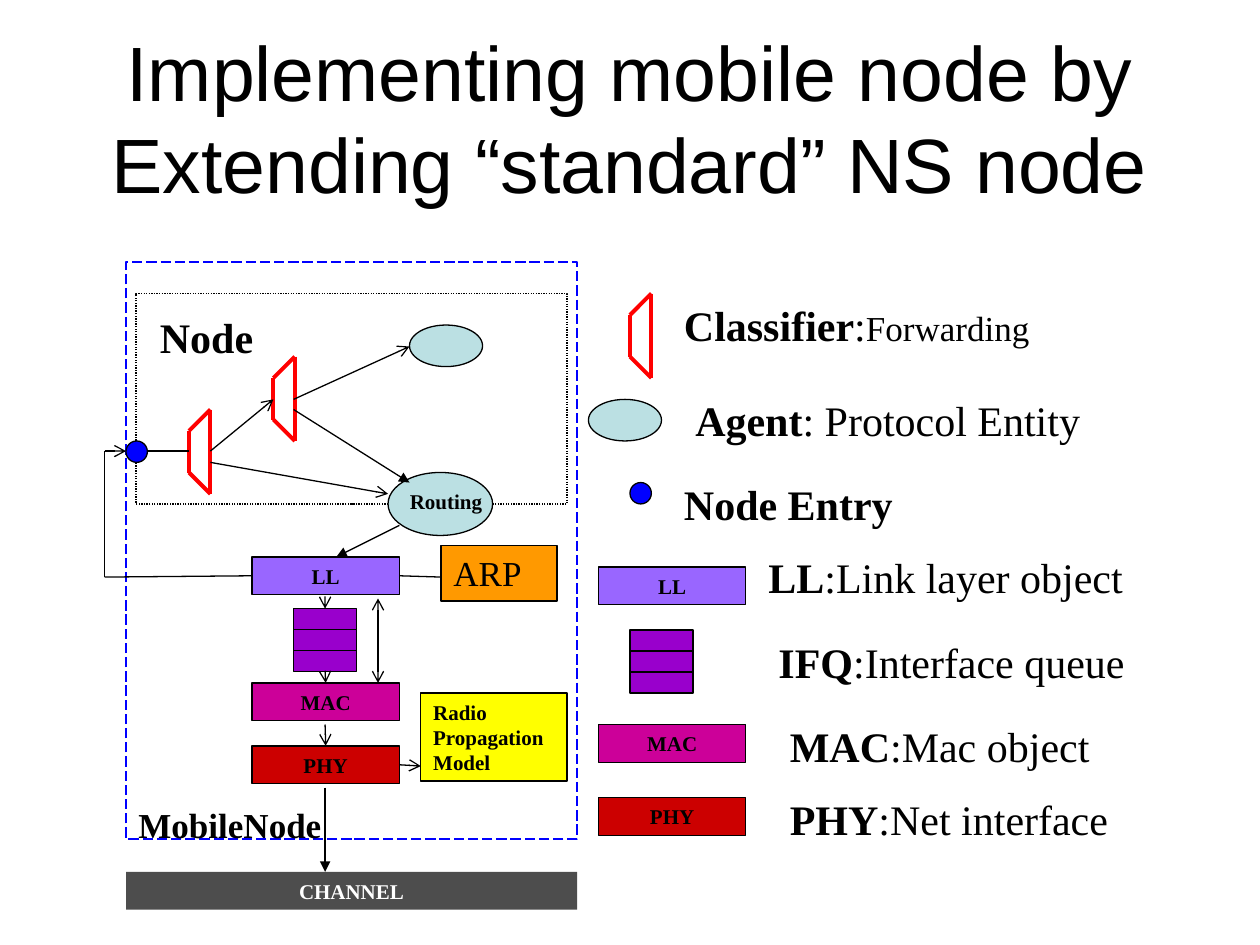
from lxml import etree
from pptx import Presentation
from pptx.dml.color import RGBColor
from pptx.enum.dml import MSO_LINE
from pptx.enum.shapes import MSO_CONNECTOR, MSO_SHAPE
from pptx.enum.text import MSO_ANCHOR, PP_ALIGN
from pptx.oxml.ns import qn
from pptx.util import Inches, Pt

RECT, OVAL = MSO_SHAPE.RECTANGLE, MSO_SHAPE.OVAL
STRAIGHT = MSO_CONNECTOR.STRAIGHT
LEFT, CENTER = PP_ALIGN.LEFT, PP_ALIGN.CENTER
TOP, MIDDLE = MSO_ANCHOR.TOP, MSO_ANCHOR.MIDDLE
DOTS, DASHES = MSO_LINE.ROUND_DOT, MSO_LINE.LONG_DASH
SIDE_TOP, SIDE_LEFT, SIDE_BOTTOM, SIDE_RIGHT = range(4)

COLORS = {
    "black": "000000", "white": "FFFFFF", "classifier": "FF0000",
    "agent": "BBE0E3", "entry": "0000FF", "ARP": "FF9900", "radio": "FFFF00",
    "LL": "9966FF", "MAC": "CC0099", "PHY": "CC0000", "queue": "9900CC",
    "channel": "4D4D4D",
}

# Content
TITLE = "Implementing mobile node by Extending “standard” NS node"
LEGEND = [  # left, top, width, term, meaning, meaning size
    (5.33, 2.33, 4, "Classifier:", "Forwarding", 20),
    (5.42, 3.08, 4, "Agent", ": Protocol Entity", 24),
    (5.33, 3.75, 4, "Node Entry", "", 24),
    (6, 4.33, 3.25, "LL", ":Link layer object", 24),
    (6.08, 5, 3.25, "IFQ", ":Interface queue", 24),
    (6.17, 5.67, 3.25, "MAC", ":Mac object", 24),
    (6.17, 6.25, 3.25, "PHY", ":Net interface", 24),
]
LAYERS = {"LL": (4.42, 4.5), "MAC": (5.42, 5.75), "PHY": (5.92, 6.33)}  # tops: node, legend
NODE_X, LEGEND_X = 2, 4.75
CLASSIFIERS = [(2.17, 2.83), (1.5, 3.25), (5, 2.33)]
AGENTS = [(3.25, 2.58, 0.58, 0.33), (4.67, 3.17, 0.58, 0.33), (3.08, 3.75, 0.83, 0.5)]
ENTRIES = [(1, 3.5), (5, 3.83)]
FREE_LINES = [  # from, to, arrowhead at the end
    ((1.67, 3.58), (2.17, 3.17), "arrow"),
    ((1.17, 3.58), (1.5, 3.58), None),
    ((2.33, 3.17), (3.25, 2.75), "arrow"),
    ((1.67, 3.67), (3.08, 3.92), "arrow"),
    ((2.33, 3.25), (3.25, 3.83), "triangle"),
    ((3.17, 4.17), (2.67, 4.42), "triangle"),
    ((0.83, 4.58), (0.83, 3.58), None),
    ((0.83, 3.58), (1, 3.58), "arrow"),
    ((2.58, 6.25), (2.58, 6.92), "triangle"),
]

prs = Presentation()
prs.slide_width, prs.slide_height = Inches(10), Inches(7.5)
s = prs.slides.add_slide(prs.slide_layouts[6])


def write(sp, *runs, size=12, bold=True, color="black", font="Times New Roman",
          align=LEFT, anchor=TOP, wrap=True):
    """Each run is a string or (string, bold, size)."""
    tf = sp.text_frame
    tf.word_wrap, tf.vertical_anchor = wrap, anchor
    p = tf.paragraphs[0]
    p.alignment = align
    for run in runs:
        text, run_bold, run_size = (run, bold, size) if isinstance(run, str) else run
        r = p.add_run()
        r.text = text
        r.font.name, r.font.size, r.font.bold = font, Pt(run_size), run_bold
        r.font.color.rgb = RGBColor.from_string(COLORS[color])


def label(x, y, w, h, *runs, **fmt):
    write(s.shapes.add_textbox(Inches(x), Inches(y), Inches(w), Inches(h)), *runs, **fmt)


def shape(kind, x, y, w, h, fill=None, line="black", dash=None):
    sp = s.shapes.add_shape(kind, Inches(x), Inches(y), Inches(w), Inches(h))
    sp.shadow.inherit = False
    if fill:
        sp.fill.solid()
        sp.fill.fore_color.rgb = RGBColor.from_string(COLORS[fill])
    else:
        sp.fill.background()
    if line:
        sp.line.color.rgb = RGBColor.from_string(COLORS[line])
        sp.line.width = Pt(0.75)
        if dash:
            sp.line.dash_style = dash
    else:
        sp.line.fill.background()
    return sp


def connect(start, end, head=None, tail=None, color="black", width=0.75, begin=None, finish=None):
    """begin and finish are (shape, side) pairs to join."""
    c = s.shapes.add_connector(STRAIGHT, *(Inches(v) for v in (*start, *end)))
    c.line.color.rgb = RGBColor.from_string(COLORS[color])
    c.line.width = Pt(width)
    sp_pr = c._element.spPr
    for tag, style in (("a:headEnd", head), ("a:tailEnd", tail)):
        if style:
            etree.SubElement(sp_pr.find(qn("a:ln")), qn(tag), type=style)
    etree.SubElement(sp_pr, qn("a:effectLst"))
    if begin:
        c.begin_connect(*begin)
    if finish:
        c.end_connect(*finish)


def classifier(x, y):
    corners = [(x, y + 0.17), (x + 0.17, y), (x + 0.17, y + 0.67), (x, y + 0.5)]
    for i, corner in enumerate(corners):
        connect(corners[i - 1], corner, color="classifier", width=2.25)


def queue(x, y):
    box = shape(RECT, x, y, 0.5, 0.5, "queue")
    for row in (1, 2):
        row_y = y + row * 0.5 / 3
        connect((x, row_y), (x + 0.5, row_y))
    return box


def layer(name, x, y):
    box = shape(RECT, x, y, 1.17, 0.3, name)
    write(box, name, align=CENTER)
    return box


# Title and frames
label(0.5, 0.3, 9, 1.25, TITLE, size=44, bold=False, font="Arial", align=CENTER, anchor=MIDDLE)
shape(RECT, 1.08, 2.33, 3.42, 1.67, "white", dash=DOTS)
shape(RECT, 1, 2.08, 3.58, 4.58, line="entry", dash=DASHES)
label(1.17, 2.42, 1.08, 0.5, "Node", size=24)
label(1, 6.33, 1.65, 0.44, "MobileNode", size=20, wrap=False)

# Classifiers, agents and entries, in the node and the legend
for spot in CLASSIFIERS:
    classifier(*spot)
for spot in AGENTS:
    shape(OVAL, *spot, "agent")
for spot in ENTRIES:
    shape(OVAL, *spot, 0.17, 0.17, "entry")
label(3.08, 3.83, 0.92, 0.3, "Routing", align=CENTER)

# Layer stacks
stack = {}
for name, (node_y, legend_y) in LAYERS.items():
    stack[name] = layer(name, NODE_X, node_y)
    layer(name, LEGEND_X, legend_y)
ifq = queue(2.33, 4.83)
queue(5, 5)

# Side boxes and channel
arp = shape(RECT, 3.5, 4.33, 0.92, 0.44, "ARP")
write(arp, "ARP", size=20, bold=False)
radio = shape(RECT, 3.34, 5.5, 1.16, 0.7, "radio")
write(radio, "Radio Propagation Model")
channel = shape(RECT, 1, 6.92, 3.58, 0.3, "channel", line=None)
write(channel, "CHANNEL", color="white", align=CENTER)

# Connections
for start, end, tail in FREE_LINES:
    connect(start, end, tail=tail)
connect((2, 4.58), (0.83, 4.58), begin=(stack["LL"], SIDE_LEFT))
connect((3.17, 4.58), (3.5, 4.58), begin=(stack["LL"], SIDE_RIGHT))
connect((3.17, 6.08), (3.34, 6.08), tail="arrow", begin=(stack["PHY"], SIDE_RIGHT))
connect((2.58, 4.75), (2.58, 4.83), tail="arrow", finish=(ifq, SIDE_TOP))
connect((2.58, 5.33), (2.58, 5.42), tail="arrow",
        begin=(ifq, SIDE_BOTTOM), finish=(stack["MAC"], SIDE_TOP))
connect((2.58, 5.75), (2.58, 5.92), tail="arrow", finish=(stack["PHY"], SIDE_TOP))
connect((3, 5.42), (3, 4.75), head="arrow", tail="arrow")

# Legend text
for x, y, w, term, meaning, size in LEGEND:
    name = term.rstrip(":")
    colon = term[len(name):]
    rest = [(text, False, pts) for text, pts in ((colon, 24), (meaning, size)) if text]
    label(x, y, w, 0.5, (name, True, 24), *rest)

prs.save("out.pptx")
